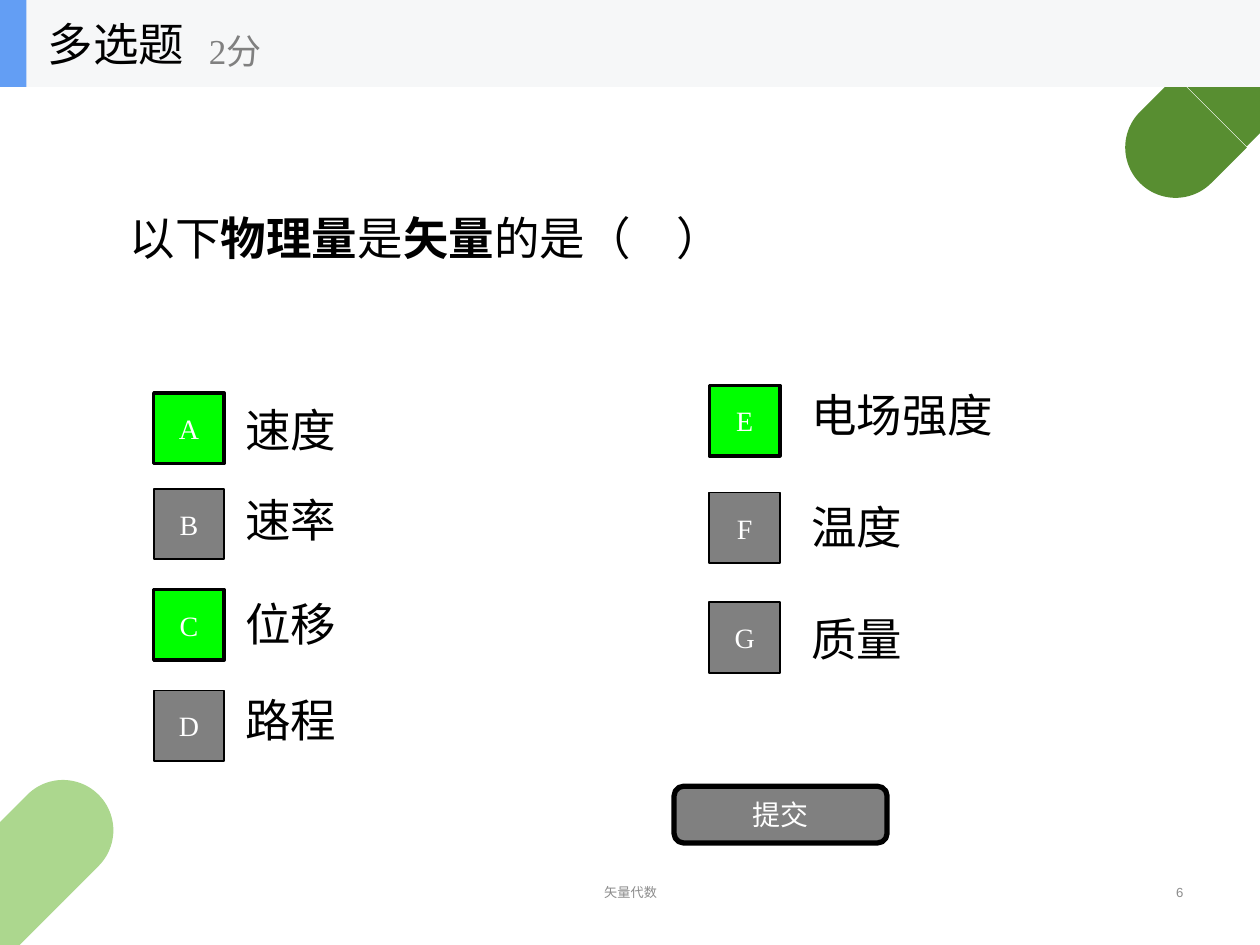
from pptx import Presentation
from pptx.dml.color import RGBColor
from pptx.enum.shapes import MSO_SHAPE
from pptx.enum.text import MSO_ANCHOR, MSO_AUTO_SIZE, PP_ALIGN
from pptx.util import Inches, Pt

RECT = MSO_SHAPE.RECTANGLE
ROUNDED = MSO_SHAPE.ROUNDED_RECTANGLE
DELAY = MSO_SHAPE.FLOWCHART_DELAY
MIDDLE = MSO_ANCHOR.MIDDLE
NO_AUTOFIT = MSO_AUTO_SIZE.NONE
LEFT, CENTER, RIGHT = PP_ALIGN.LEFT, PP_ALIGN.CENTER, PP_ALIGN.RIGHT

SANS, SERIF = "Arial", "Times New Roman"
COLORS = {
    "text": "000000",
    "white": "FFFFFF",
    "muted": "808080",
    "footer": "8C8C8C",
    "correct": "00FF00",
    "header": "F6F7F8",
    "accent": "639EF4",
    "light_green": "ACD78E",
    "dark_green": "588E31",
}

BOX_SIZE = 0.56
LABEL_HEIGHT = 0.94
# Each column: box left, label left, label width, and its options as
# (letter, label, is correct, box top, label top)
OPTION_COLUMNS = [
    (1.22, 1.85, 4.38, [
        ("A", "速度", True, 3.12, 2.94),
        ("B", "速率", False, 3.88, 3.65),
        ("C", "位移", True, 4.68, 4.48),
        ("D", "路程", False, 5.48, 5.24),
    ]),
    (5.63, 6.34, 2.28, [
        ("E", "电场强度", True, 3.06, 2.82),
        ("F", "温度", False, 3.91, 3.71),
        ("G", "质量", False, 4.78, 4.6),
    ]),
]
QUESTION = [("以下", False), ("物理量", True), ("是", False),
            ("矢量", True), ("的是（　）", False)]


def rgb(color):
    return RGBColor.from_string(COLORS[color])


def style_font(font, size, color, name):
    font.size = Pt(size)
    font.name = name
    font.color.rgb = rgb(color)


def write(shape, text, size, color="text", name=SANS, align=LEFT, wrap=True):
    frame = shape.text_frame
    frame.text = text
    frame.word_wrap = wrap
    frame.vertical_anchor = MIDDLE
    paragraph = frame.paragraphs[0]
    paragraph.alignment = align
    style_font(paragraph.runs[0].font, size, color, name)


def add_label(slide, place, text, size, **style):
    label = slide.shapes.add_textbox(*map(Inches, place))
    write(label, text, size, **style)


def add_block(slide, kind, place, fill, line_width=0, rotation=0):
    block = slide.shapes.add_shape(kind, *map(Inches, place))
    block.shadow.inherit = False
    block.rotation = rotation
    block.fill.solid()
    block.fill.fore_color.rgb = rgb(fill)
    if line_width:
        block.line.color.rgb = rgb("text")
        block.line.width = Pt(line_width)
    else:
        block.line.fill.background()
    return block


def add_button(slide, kind, place, text, fill, line_width):
    button = add_block(slide, kind, place, fill, line_width)
    write(button, text, 16, "white", SERIF, CENTER, wrap=False)


def add_corner_bands(slide):
    add_block(slide, RECT, (-2.82, 7.73, 3.56, 0.8), "light_green", rotation=135)
    add_block(slide, DELAY, (0.1, 6.19, 0.8, 0.8), "light_green", rotation=315)
    add_block(slide, DELAY, (8.93, 0.77, 0.8, 0.8), "dark_green", rotation=135)
    add_block(slide, RECT, (9.09, -0.78, 3.56, 0.8), "dark_green", rotation=135)


def add_question(slide):
    title = slide.shapes.title
    title.left, title.top, title.width, title.height = map(
        Inches, (0.93, 0.71, 8, 2.34))
    frame = title.text_frame
    frame.auto_size = NO_AUTOFIT
    frame.vertical_anchor = MIDDLE
    paragraph = frame.paragraphs[0]
    paragraph.alignment = LEFT
    for text, bold in QUESTION:
        run = paragraph.add_run()
        run.text = text
        run.font.bold = bold
        style_font(run.font, 26, "text", SANS)


def add_options(slide):
    for box_left, label_left, label_width, options in OPTION_COLUMNS:
        for letter, label, correct, box_top, label_top in options:
            fill, line_width = ("correct", 2) if correct else ("muted", 1)
            add_button(slide, RECT, (box_left, box_top, BOX_SIZE, BOX_SIZE),
                       letter, fill, line_width)
            add_label(slide, (label_left, label_top, label_width, LABEL_HEIGHT),
                      label, 26)


def add_header(slide):
    add_block(slide, RECT, (0, 0, 10, 0.69), "header")
    add_block(slide, RECT, (0, 0, 0.21, 0.69), "accent")
    add_label(slide, (0.28, 0, 2.08, 0.69), "多选题", 26, wrap=False)
    add_label(slide, (1.56, 0.12, 2.5, 0.56), "2分", 20,
              color="muted", name=SERIF, wrap=False)


def add_footer(slide):
    add_label(slide, (3.38, 6.91, 3.25, 0.35), "矢量代数", 7.5,
              color="footer", align=CENTER)
    add_label(slide, (7.28, 6.91, 2.21, 0.35), "6", 7.5,
              color="footer", align=RIGHT)


def main():
    deck = Presentation()
    deck.slide_width, deck.slide_height = Inches(10), Inches(7.5)
    slide = deck.slides.add_slide(deck.slide_layouts[5])
    add_corner_bands(slide)
    add_footer(slide)
    add_question(slide)
    add_options(slide)
    add_button(slide, ROUNDED, (5.35, 6.24, 1.69, 0.45), "提交", "muted", 3)
    add_header(slide)
    deck.save("out.pptx")


if __name__ == "__main__":
    main()
